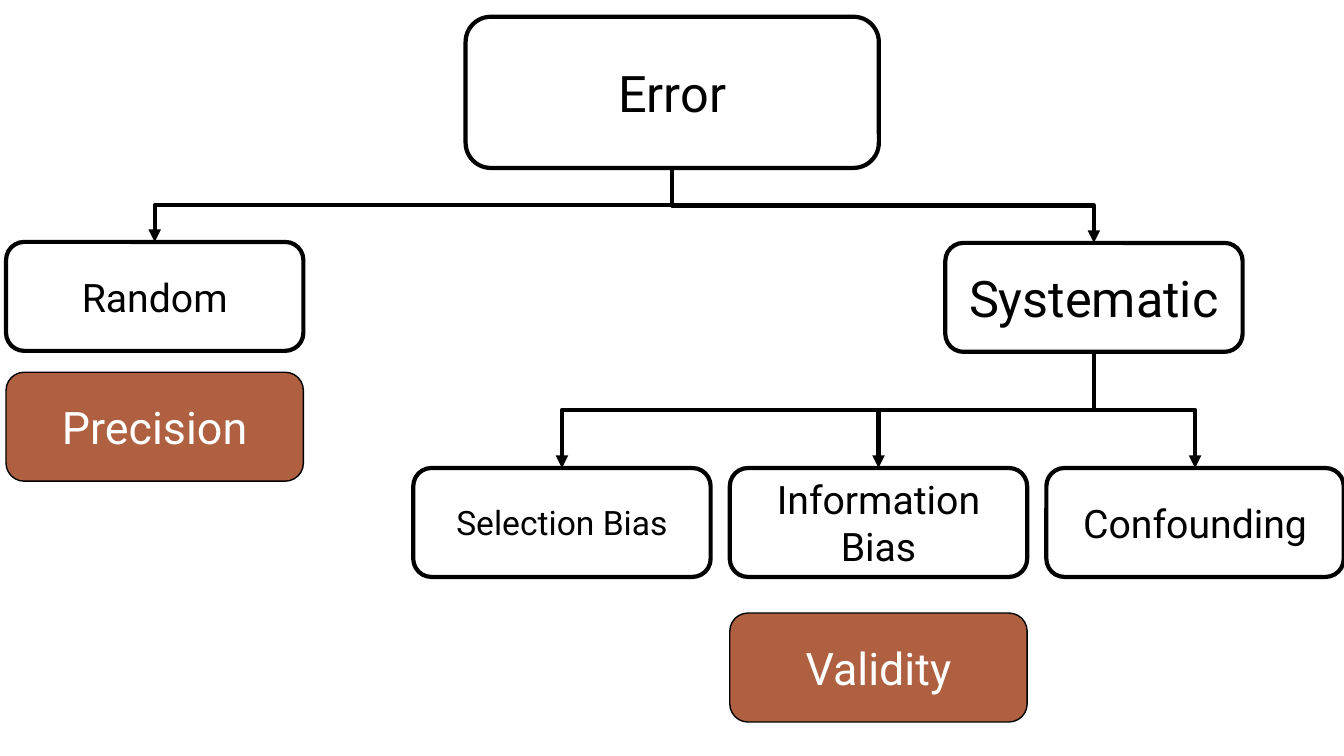
import pptx
import pptx.util
import pptx.dml.color
import pptx.enum.shapes
import pptx.enum.text
import pptx.oxml.ns
from lxml import etree

Pt = pptx.util.Pt
BLACK = pptx.dml.color.RGBColor(0x00, 0x00, 0x00)
WHITE = pptx.dml.color.RGBColor(0xFF, 0xFF, 0xFF)
RUST = pptx.dml.color.RGBColor(0xAE, 0x60, 0x41)

NODE_WIDTH, NODE_HEIGHT = 212.4, 77.8
LEFT_EDGE = 4.3
BIAS_LEFT, BIAS_TOP, BIAS_PITCH = 295.2, 334.3, 226.1
TOP, BOTTOM = 0, 2  # connection sites


class TreeSlide:
    """Style and drawing methods for one tree diagram."""

    font_name = "Roboto"
    line_width = 3

    def __init__(self, presentation):
        self.slide = presentation.slides.add_slide(presentation.slide_layouts[6])

    def box(self, text, left, top, size, width=NODE_WIDTH, height=NODE_HEIGHT,
            fill=None):
        shape = self.slide.shapes.add_shape(
            pptx.enum.shapes.MSO_SHAPE.ROUNDED_RECTANGLE,
            Pt(left), Pt(top), Pt(width), Pt(height))
        shape.shadow.inherit = False
        shape.line.color.rgb = BLACK
        if fill is None:
            shape.fill.background()
            shape.line.width = Pt(self.line_width)
        else:
            shape.fill.solid()
            shape.fill.fore_color.rgb = fill
            shape.line.width = Pt(1)
        frame = shape.text_frame
        frame.word_wrap = True
        frame.vertical_anchor = pptx.enum.text.MSO_ANCHOR.MIDDLE
        frame.text = text
        paragraph = frame.paragraphs[0]
        paragraph.alignment = pptx.enum.text.PP_ALIGN.CENTER
        font = paragraph.runs[0].font
        font.name = self.font_name
        font.size = Pt(size)
        font.color.rgb = BLACK if fill is None else WHITE
        return shape

    def branch(self, parent, child):
        """Arrow that leaves the parent downwards and bends to the child."""
        start_x = parent.left + parent.width // 2
        start_y = parent.top + parent.height
        end_x, end_y = child.left + child.width // 2, child.top
        connector = self.slide.shapes.add_connector(
            pptx.enum.shapes.MSO_CONNECTOR.ELBOW, start_x, start_y, end_x, end_y)
        connector.begin_connect(parent, BOTTOM)
        connector.end_connect(child, TOP)

        # Turn the elbow so that its first leg is vertical
        across, down = abs(end_x - start_x), end_y - start_y
        connector.left = (start_x + end_x - down) // 2
        connector.top = (start_y + end_y - across) // 2
        connector.width, connector.height = down, across
        properties = connector._element.spPr
        transform = properties.find(pptx.oxml.ns.qn("a:xfrm"))
        goes_right = end_x > start_x
        transform.set("rot", str((270 if goes_right else 90) * 60000))
        transform.set("flipH", "1" if goes_right else "0")
        transform.set("flipV", "0")

        # Line, arrowhead and no shadow
        connector.line.color.rgb = BLACK
        connector.line.width = Pt(self.line_width)
        line = connector.line._get_or_add_ln()
        etree.SubElement(line, pptx.oxml.ns.qn("a:tailEnd"), type="triangle")
        etree.SubElement(properties, pptx.oxml.ns.qn("a:effectLst"))


def main():
    presentation = pptx.Presentation()
    presentation.slide_width, presentation.slide_height = Pt(960), Pt(540)
    tree = TreeSlide(presentation)

    # Error and its two kinds
    error = tree.box("Error", 332.6, 12, 36, width=295.2, height=108)
    random_error = tree.box("Random", LEFT_EDGE, 172.8, 28)
    systematic = tree.box("Systematic", 675.2, 173.5, 36)
    for kind in (random_error, systematic):
        tree.branch(error, kind)

    # Sources of systematic error
    biases = [("Selection Bias", 24), ("Information Bias", 28), ("Confounding", 28)]
    for column, (name, size) in enumerate(biases):
        bias = tree.box(name, BIAS_LEFT + column * BIAS_PITCH, BIAS_TOP, size)
        tree.branch(systematic, bias)

    # What each kind of error affects
    tree.box("Precision", LEFT_EDGE, 265.9, 32, fill=RUST)
    tree.box("Validity", BIAS_LEFT + BIAS_PITCH, 437.9, 32, fill=RUST)

    presentation.save("out.pptx")


if __name__ == "__main__":
    main()
